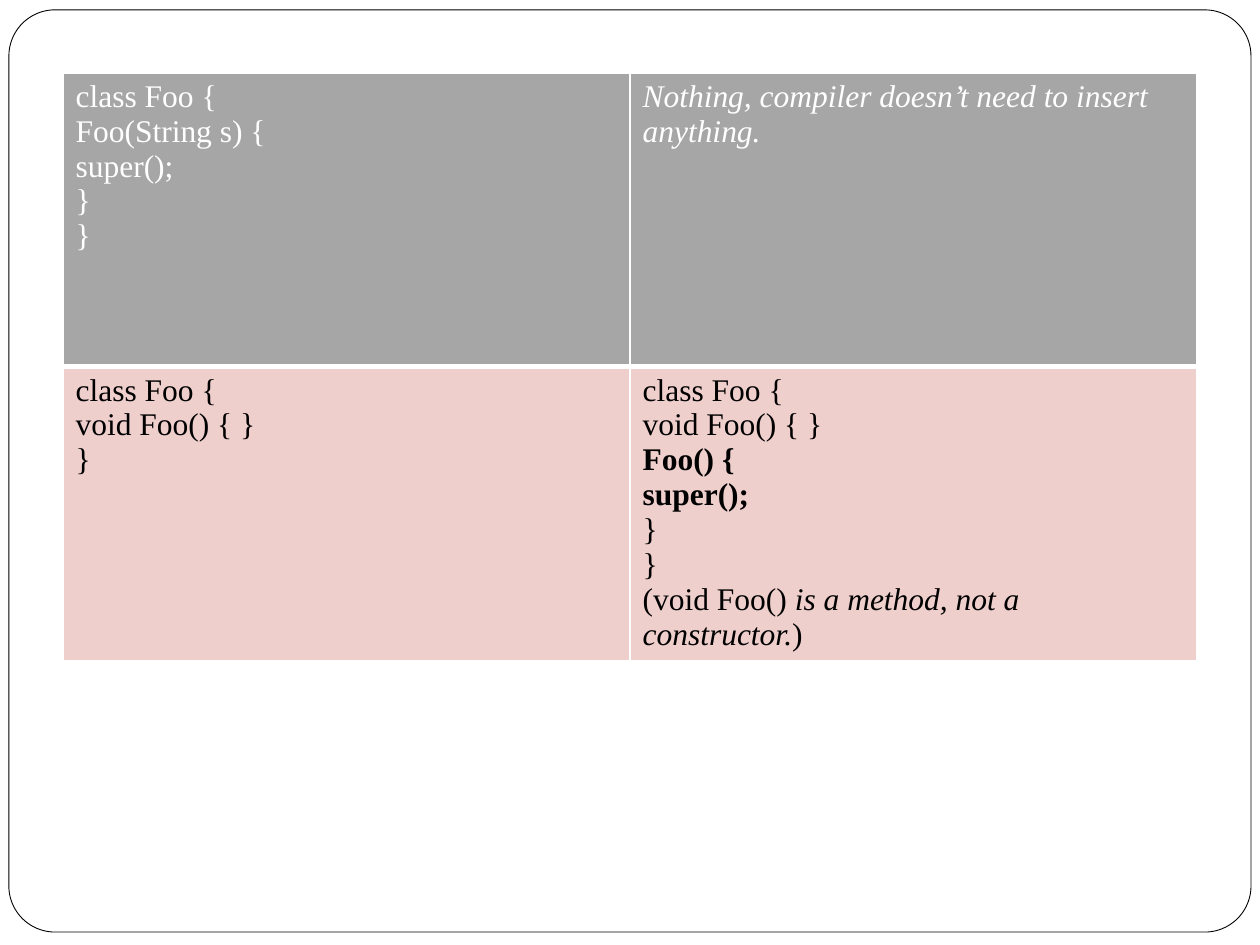
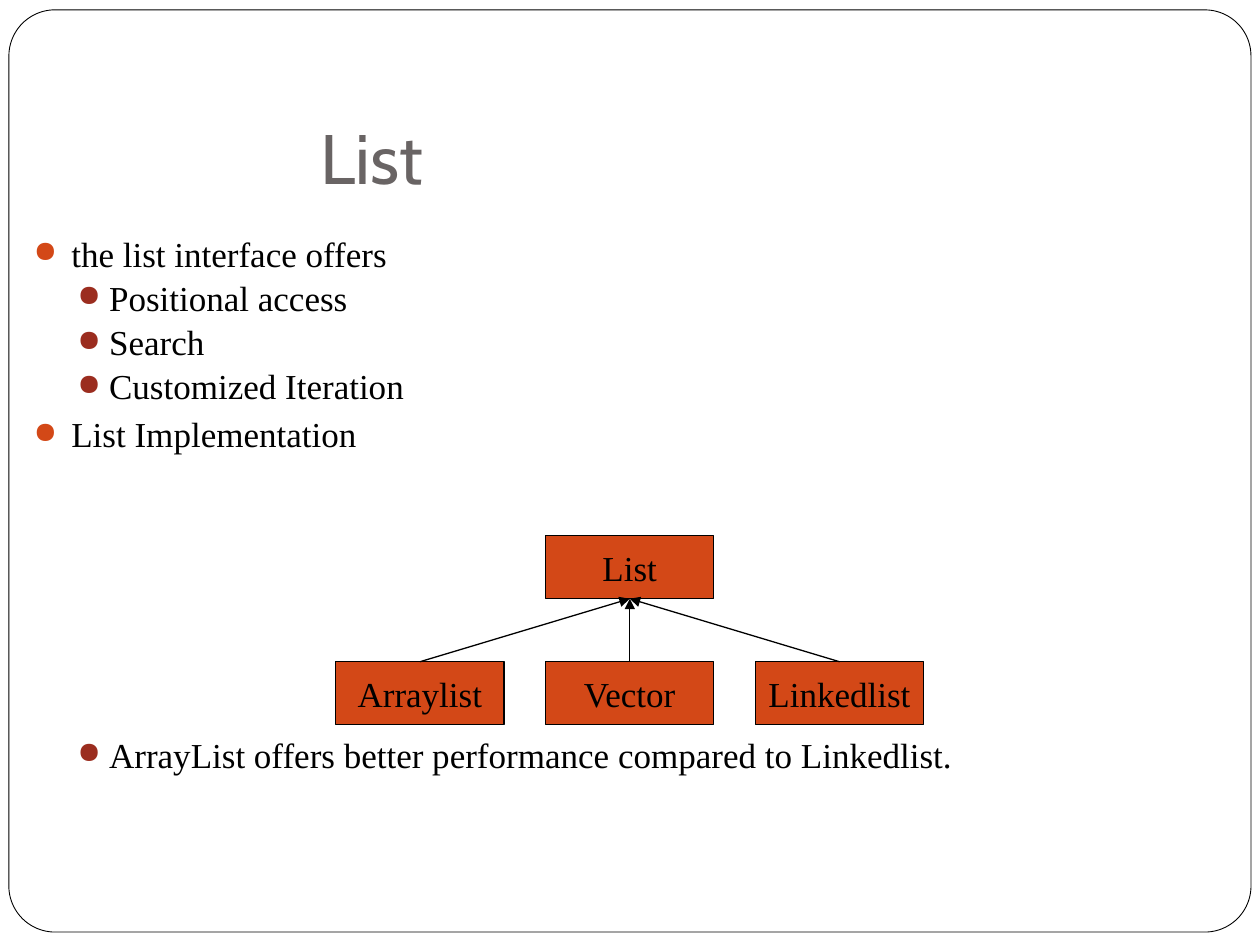
"""Build two Java slides: compiler-inserted constructors and the List interface."""
from dataclasses import dataclass

from lxml.etree import SubElement
from pptx import Presentation
from pptx.dml.color import RGBColor
from pptx.enum.shapes import MSO_CONNECTOR as Connector, MSO_SHAPE as Preset
from pptx.enum.text import MSO_ANCHOR as Anchor, MSO_AUTO_SIZE as AutoSize, PP_ALIGN as Align
from pptx.oxml.ns import qn
from pptx.shapes.autoshape import Shape
from pptx.slide import Slide
from pptx.table import _Cell as Cell
from pptx.text.text import Font
from pptx.util import Cm, Pt

BLACK = RGBColor(0x00, 0x00, 0x00)
WHITE = RGBColor(0xFF, 0xFF, 0xFF)
GRAY = RGBColor(0xA6, 0xA6, 0xA6)
PINK = RGBColor(0xEF, 0xCF, 0xCC)
TITLE_GRAY = RGBColor(0x69, 0x64, 0x64)
ORANGE = RGBColor(0xD3, 0x48, 0x17)
DARK_RED = RGBColor(0x9B, 0x2D, 0x1F)

TITLE_FONT = "Cabin"
BODY_FONT = "Times New Roman"
TITLE_ONLY, BLANK = 5, 6
TOP, BOTTOM = 0, 2


@dataclass
class Span:
    text: str
    bold: bool = False
    italic: bool = False


@dataclass
class RowStyle:
    fill: RGBColor
    color: RGBColor
    borders: dict[str, float]


@dataclass
class BulletStyle:
    color: RGBColor
    margin: Cm
    hanging: Cm
    before: float


@dataclass
class Bullet:
    text: str
    level: int = 0
    before: float | None = None


HEADER_ROW = RowStyle(GRAY, WHITE, {"L": 1, "R": 1, "T": 1, "B": 3})
BODY_ROW = RowStyle(PINK, BLACK, {"L": 1, "R": 1, "T": 3, "B": 1})
BULLET_STYLES = [
    BulletStyle(ORANGE, Cm(0.76), Cm(0.76), 5.8),
    BulletStyle(DARK_RED, Cm(1.52), Cm(0.64), 3.7),
]


def plain(*lines: str) -> list[list[Span]]:
    return [[Span(line)] for line in lines]


CONSTRUCTOR_ROWS = [
    (HEADER_ROW, [
        plain("class Foo {", "Foo(String s) {", "super();", "}", "}"),
        [[Span("Nothing, compiler doesn’t need to insert", italic=True)],
         [Span("anything.", italic=True)]],
    ]),
    (BODY_ROW, [
        plain("class Foo {", "void Foo() { }", "}"),
        [*plain("class Foo {", "void Foo() { }"),
         [Span("Foo() {", bold=True)],
         [Span("super();", bold=True)],
         *plain("}", "}"),
         [Span("(void Foo() "), Span("is a method, not a constructor.", italic=True), Span(")")]],
    ]),
]

LIST_BULLETS = [
    Bullet("the list interface offers", before=0),
    Bullet("Positional access", 1),
    Bullet("Search", 1),
    Bullet("Customized Iteration", 1),
    Bullet("List Implementation"),
    Bullet("ArrayList offers better performance compared to Linkedlist.", 1, before=161.5),
]


def set_font(font: Font, name: str, size: float, color: RGBColor) -> None:
    font.name = name
    font.size = Pt(size)
    font.color.rgb = color


def add_slide(deck: Presentation, layout: int) -> Slide:
    slide = deck.slides.add_slide(deck.slide_layouts[layout])
    frame = slide.shapes.add_shape(
        Preset.ROUNDED_RECTANGLE, Cm(0.18), Cm(0.2), Cm(25.04), Cm(18.59))
    frame.adjustments[0] = 0.05
    frame.shadow.inherit = False
    frame.fill.solid()
    frame.fill.fore_color.rgb = WHITE
    frame.line.color.rgb = BLACK
    frame.line.width = Pt(0.5)
    slide.shapes._spTree.insert(2, frame._element)
    return slide


def set_borders(cell: Cell, borders: dict[str, float]) -> None:
    properties = cell._tc.get_or_add_tcPr()
    for side, width in borders.items():
        line = SubElement(properties, qn(f"a:ln{side}"), w=str(Pt(width)))
        SubElement(SubElement(line, qn("a:solidFill")), qn("a:srgbClr"), val=str(WHITE))


def fill_cell(cell: Cell, style: RowStyle, lines: list[list[Span]]) -> None:
    set_borders(cell, style.borders)
    cell.fill.solid()
    cell.fill.fore_color.rgb = style.fill
    for index, spans in enumerate(lines):
        para = cell.text_frame.add_paragraph() if index else cell.text_frame.paragraphs[0]
        set_font(para.font, BODY_FONT, 18, style.color)
        para.font.bold = all(span.bold for span in spans)
        para.font.italic = all(span.italic for span in spans)
        for span in spans:
            run = para.add_run()
            run.text = span.text
            if len(spans) > 1:
                run.font.italic = span.italic


def add_constructor_table(slide: Slide) -> None:
    table = slide.shapes.add_table(
        2, 2, Cm(1.27), Cm(1.47), Cm(22.86), Cm(11.84)).table
    for row, (style, contents) in zip(table.rows, CONSTRUCTOR_ROWS):
        for cell, lines in zip(row.cells, contents):
            fill_cell(cell, style, lines)


def set_title(slide: Slide, text: str) -> None:
    title = slide.shapes.title
    title.left, title.top, title.width, title.height = Cm(1.27), Cm(1.96), Cm(22.86), Cm(2.29)
    text_frame = title.text_frame
    text_frame.text = text
    text_frame.auto_size = AutoSize.NONE
    text_frame.vertical_anchor = Anchor.BOTTOM
    text_frame.margin_left = Cm(5.2)
    text_frame.margin_bottom = Cm(0.25)
    para = text_frame.paragraphs[0]
    para.alignment = Align.LEFT
    set_font(para.font, TITLE_FONT, 40, TITLE_GRAY)


def add_bullets(slide: Slide, bullets: list[Bullet]) -> None:
    box = slide.shapes.add_textbox(Cm(0.43), Cm(4.65), Cm(24.33), Cm(13.34))
    box.text_frame.word_wrap = True
    for index, bullet in enumerate(bullets):
        style = BULLET_STYLES[bullet.level]
        para = box.text_frame.add_paragraph() if index else box.text_frame.paragraphs[0]
        para.text = bullet.text
        para.level = bullet.level
        para.line_spacing = 0.9
        para.space_before = Pt(style.before if bullet.before is None else bullet.before)
        properties = para._p.get_or_add_pPr()
        properties.set("marL", str(style.margin))
        properties.set("indent", str(-style.hanging))
        SubElement(SubElement(properties, qn("a:buClr")), qn("a:srgbClr"), val=str(style.color))
        SubElement(properties, qn("a:buSzPct"), val="85000")
        SubElement(properties, qn("a:buChar"), char="●")
        set_font(para.font, BODY_FONT, 20, BLACK)


def add_type_box(slide: Slide, name: str, column: int, top: Cm) -> Shape:
    box = slide.shapes.add_shape(
        Preset.RECTANGLE, Cm(6.77 + 4.23 * column), top, Cm(3.39), Cm(1.27))
    box.shadow.inherit = False
    box.fill.solid()
    box.fill.fore_color.rgb = ORANGE
    box.line.color.rgb = BLACK
    box.line.width = Pt(0.75)
    box.text_frame.text = name
    box.text_frame.word_wrap = False
    box.text_frame.vertical_anchor = Anchor.MIDDLE
    para = box.text_frame.paragraphs[0]
    para.alignment = Align.CENTER
    set_font(para.font, BODY_FONT, 20, BLACK)
    return box


def add_arrow(slide: Slide, child: Shape, parent: Shape) -> None:
    arrow = slide.shapes.add_connector(Connector.STRAIGHT, 0, 0, 0, 0)
    arrow.begin_connect(child, TOP)
    arrow.end_connect(parent, BOTTOM)
    arrow.line.color.rgb = BLACK
    arrow.line.width = Pt(0.75)
    SubElement(arrow.line._get_or_add_ln(), qn("a:tailEnd"), type="triangle")
    SubElement(arrow._element.spPr, qn("a:effectLst"))


def add_list_hierarchy(slide: Slide) -> None:
    parent = add_type_box(slide, "List", 1, Cm(10.8))
    children = [add_type_box(slide, name, column, Cm(13.34))
                for column, name in enumerate(["Arraylist", "Vector", "Linkedlist"])]
    for child in children:
        add_arrow(slide, child, parent)


def main() -> None:
    deck = Presentation()
    deck.slide_width, deck.slide_height = Cm(25.4), Cm(19.05)
    add_constructor_table(add_slide(deck, BLANK))
    list_slide = add_slide(deck, TITLE_ONLY)
    set_title(list_slide, "List")
    add_bullets(list_slide, LIST_BULLETS)
    add_list_hierarchy(list_slide)
    deck.save("out.pptx")


if __name__ == "__main__":
    main()
